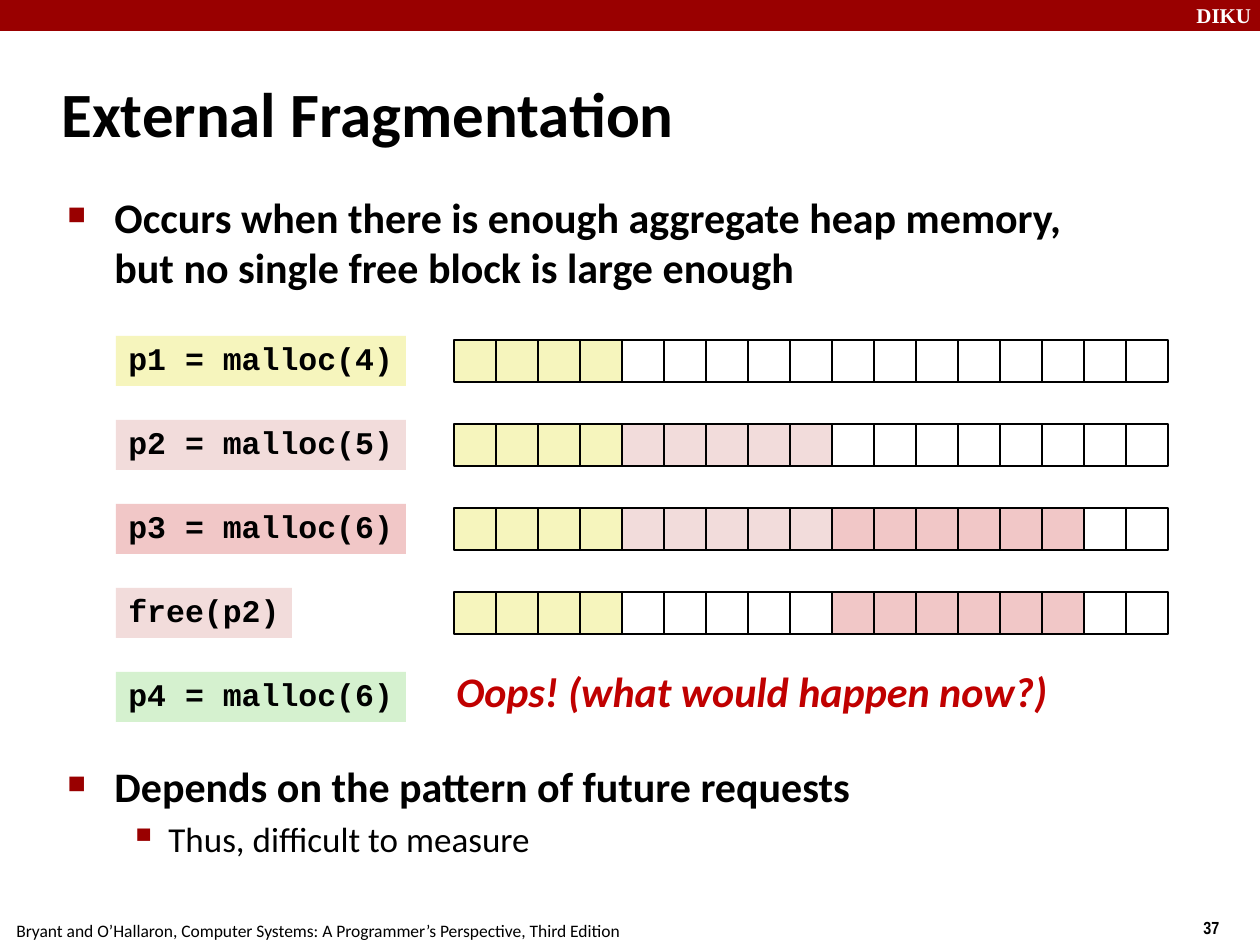
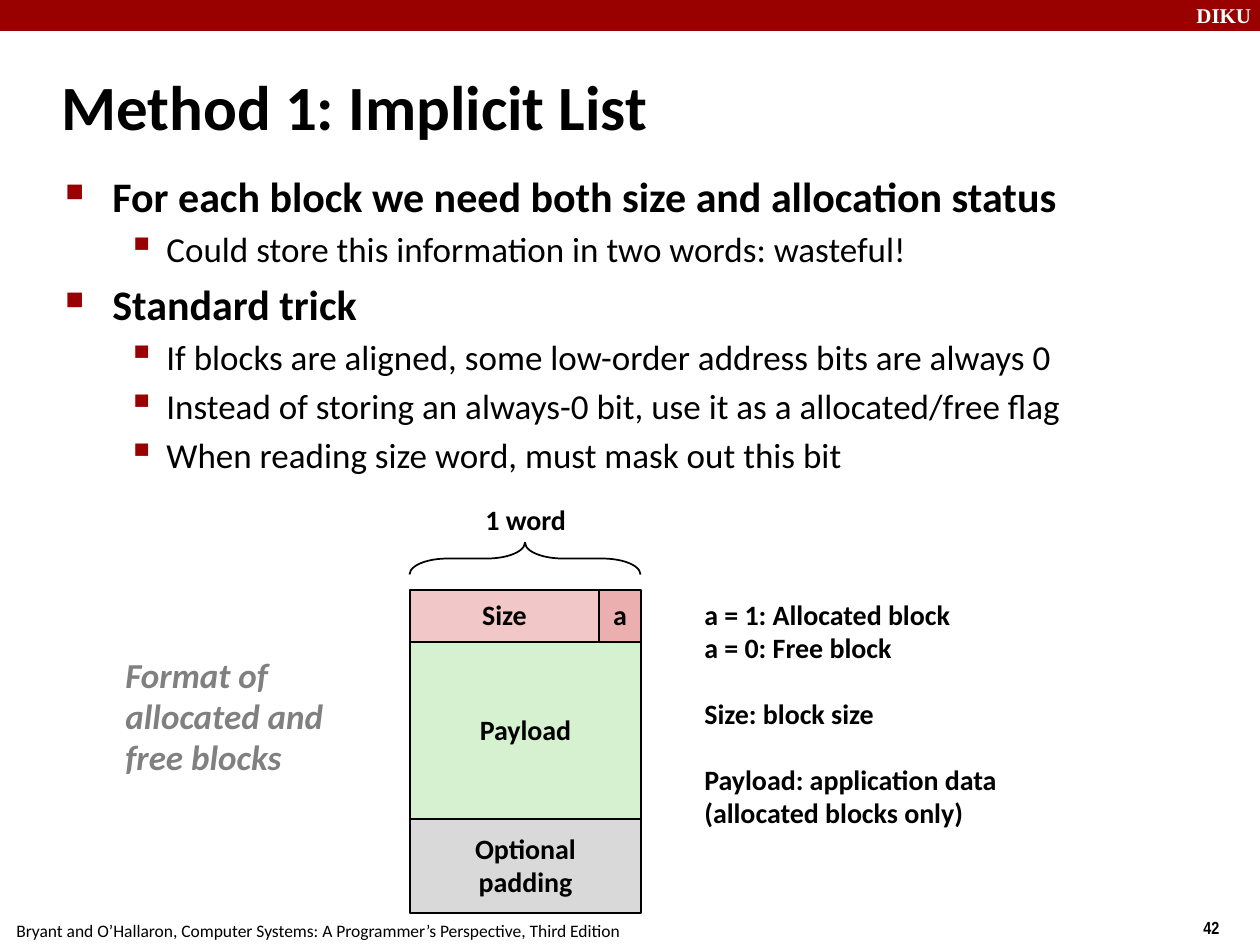
"""Build two lecture slides on heap fragmentation and implicit free lists."""
import pptx
import pptx.util
import pptx.dml.color
import pptx.enum.shapes
import pptx.enum.text
from lxml import etree

PX = 914400 / 126
SHAPE = pptx.enum.shapes.MSO_SHAPE
ALIGN = pptx.enum.text.PP_ALIGN
ANCHOR = pptx.enum.text.MSO_ANCHOR
COLORS = {
    "band": "990000", "black": "000000", "white": "FFFFFF", "gray": "808080",
    "alert": "C00000", "yellow": "F6F5BD", "blush": "F2DCDB", "rose": "F1C7C7",
    "flag": "EBAFAF", "green": "D5F1CF", "padding": "D9D9D9",
}
COURSE = "DIKU"
FOOTER = "Bryant and O’Hallaron, Computer Systems: A Programmer’s Perspective, Third Edition"

BULLETS = [
    {"char": "■", "percent": 60, "margin": 48, "hang": 47, "size": 24, "bold": True, "before": 4.8},
    {"char": "▪", "percent": 110, "margin": 102, "hang": 39, "size": 20, "bold": False, "before": 4},
]

FRAGMENTATION_INTRO = [
    (0, "Occurs when there is enough aggregate heap memory, "
        "but no single free block is large enough"),
]
FRAGMENTATION_OUTLOOK = [
    (0, "Depends on the pattern of future requests"),
    (1, "Thus, difficult to measure"),
]
HEAP_CELLS = 17
HEAP_STEPS = [
    ("p1 = malloc(4)", 290, "yellow", [("yellow", 4)]),
    ("p2 = malloc(5)", 290, "blush", [("yellow", 4), ("blush", 5)]),
    ("p3 = malloc(6)", 290, "rose", [("yellow", 4), ("blush", 5), ("rose", 6)]),
    ("free(p2)", 176, "blush", [("yellow", 4), ("white", 5), ("rose", 6)]),
    ("p4 = malloc(6)", 290, "green", []),
]
OOPS = "Oops! (what would happen now?)"

IMPLICIT_POINTS = [
    (0, "For each block we need both size and allocation status"),
    (1, "Could store this information in two words: wasteful!"),
    (0, "Standard trick"),
    (1, "If blocks are aligned, some low-order address bits are always 0"),
    (1, "Instead of storing an always-0 bit, use it as a allocated/free flag"),
    (1, "When reading size word, must mask out this bit"),
]
BLOCK_ROWS = [
    (52, [("Size", 189, "rose"), ("a", 42, "flag")]),
    (177, [("Payload", 231, "green")]),
    (94, [("Optional\npadding", 231, "padding")]),
]
FORMAT_NOTE = "Format of\nallocated and\nfree blocks"
LEGEND = [
    "a = 1: Allocated block\na = 0: Free block",
    "Size: block size",
    "Payload: application data\n(allocated blocks only)",
]


def px(n):
    return pptx.util.Emu(round(n * PX))


def rgb(name):
    return pptx.dml.color.RGBColor.from_string(COLORS[name])


def style(p, size, font="Calibri", color="black", bold=False, italic=False):
    for r in p.runs:
        r.font.size = pptx.util.Pt(size)
        r.font.name = font
        r.font.color.rgb = rgb(color)
        r.font.bold = bold
        r.font.italic = italic


def write(sp, text, size, wrap=False, spacing=None, align=ALIGN.LEFT, anchor=ANCHOR.TOP, **look):
    tf = sp.text_frame
    tf.word_wrap = wrap
    tf.vertical_anchor = anchor
    tf.text = text
    for p in tf.paragraphs:
        p.alignment = align
        p.line_spacing = spacing
        style(p, size, **look)
    return tf


def add_text(slide, box, text, size, **options):
    return write(slide.shapes.add_textbox(*map(px, box)), text, size, **options)


def add_box(slide, box, fill=None, line=True, kind=SHAPE.RECTANGLE):
    sp = slide.shapes.add_shape(kind, *map(px, box))
    sp.shadow.inherit = False
    if fill:
        sp.fill.solid()
        sp.fill.fore_color.rgb = rgb(fill)
    else:
        sp.fill.background()
    if line:
        sp.line.color.rgb = rgb("black")
        sp.line.width = pptx.util.Pt(1)
    else:
        sp.line.fill.background()
    return sp


def add_bullet(p, bullet):
    pPr = p._p.get_or_add_pPr()
    pPr.set("marL", str(px(bullet["margin"])))
    pPr.set("indent", str(-px(bullet["hang"])))
    ns = "{%s}" % pPr.nsmap["a"]
    color = etree.SubElement(pPr, ns + "buClr")
    etree.SubElement(color, ns + "srgbClr", val=COLORS["band"])
    etree.SubElement(pPr, ns + "buSzPct", val=str(bullet["percent"] * 1000))
    etree.SubElement(pPr, ns + "buChar", char=bullet["char"])


def add_points(slide, box, points, spacing=None):
    tf = add_text(slide, box, "\n".join(text for _, text in points), 24, wrap=True, spacing=spacing)
    for i, (p, (level, _)) in enumerate(zip(tf.paragraphs, points)):
        bullet = BULLETS[level]
        p.level = level
        p.space_before = pptx.util.Pt(bullet["before"] if i else 0)
        add_bullet(p, bullet)
        style(p, bullet["size"], bold=bullet["bold"])


def add_slide(prs, title, title_box, number):
    slide = prs.slides.add_slide(prs.slide_layouts[6])
    add_box(slide, (0, 0, 1260, 31), "band", line=False)
    add_text(slide, (1184, -4, 84, 38), COURSE, 12, wrap=True,
             font="Times New Roman", color="white", bold=True)
    add_text(slide, (1191, 911, 94, 36), number, 10, wrap=True, font="Arial Narrow", bold=True)
    add_text(slide, (4, 914, 629, 34), FOOTER, 10)
    add_text(slide, title_box, title, 36, wrap=True, anchor=ANCHOR.MIDDLE, bold=True)
    return slide


def build_fragmentation(prs):
    slide = add_slide(prs, "External Fragmentation", (49, 60, 1046, 105), "37")
    add_points(slide, (54, 188, 1080, 120), FRAGMENTATION_INTRO, 0.98)
    add_points(slide, (54, 757, 1080, 116), FRAGMENTATION_OUTLOOK, 0.98)
    cell, pitch = 42, 84
    for row, (call, width, fill, runs) in enumerate(HEAP_STEPS):
        top = 336 + row * pitch
        if runs:
            fills = [name for name, count in runs for _ in range(count)]
            fills += ["white"] * (HEAP_CELLS - len(fills))
            for col, name in enumerate(fills):
                add_box(slide, (454 + col * cell, top + 4, cell, cell), name)
        label = add_box(slide, (116, top, width, 50), fill, line=False)
        write(label, call, 18, spacing=0.94, font="Courier New", bold=True)
    add_text(slide, (444, 659, 616, 63), OOPS, 24, color="alert", bold=True, italic=True)


def build_implicit_list(prs):
    slide = add_slide(prs, "Method 1: Implicit List", (49, 66, 908, 79), "42")
    add_points(slide, (52, 164, 1138, 297), IMPLICIT_POINTS)
    top = 590
    for height, fields in BLOCK_ROWS:
        left = 410
        for name, width, fill in fields:
            sp = add_box(slide, (left, top, width, height), fill)
            write(sp, name, 16, spacing=0.98, align=ALIGN.CENTER, anchor=ANCHOR.MIDDLE, bold=True)
            left += width
        top += height
    brace = add_box(slide, (509, 443, 32, 231), kind=SHAPE.RIGHT_BRACE)
    brace.rotation = 270
    brace.adjustments[0] = 1.19
    add_text(slide, (473, 498, 106, 47), "1 word", 16, spacing=0.98, bold=True)
    add_text(slide, (113, 649, 223, 137), FORMAT_NOTE, 20, spacing=0.98,
             color="gray", bold=True, italic=True)
    tf = add_text(slide, (692, 593, 318, 276), "\n".join(LEGEND), 16, spacing=0.98, bold=True)
    group_starts = [group.split("\n")[0] for group in LEGEND[1:]]
    for p in tf.paragraphs:
        if p.text in group_starts:
            p.space_before = pptx.util.Pt(19)


def main():
    prs = pptx.Presentation()
    prs.slide_width, prs.slide_height = px(1260), px(945)
    build_fragmentation(prs)
    build_implicit_list(prs)
    prs.save("out.pptx")


if __name__ == "__main__":
    main()
